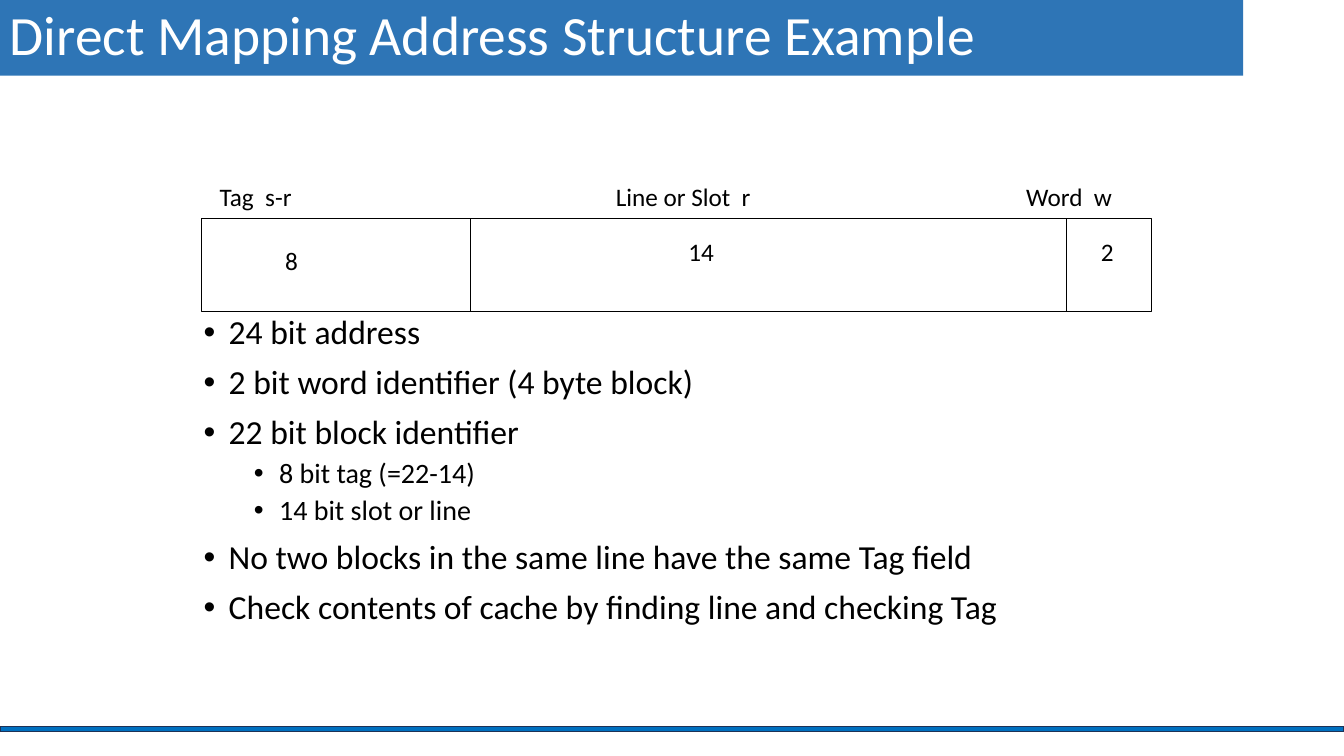
from dataclasses import dataclass

from lxml import etree
from pptx import Presentation
from pptx.dml.color import RGBColor
from pptx.enum.shapes import MSO_CONNECTOR, MSO_SHAPE
from pptx.enum.text import MSO_ANCHOR, MSO_AUTO_SIZE
from pptx.oxml.ns import qn
from pptx.util import Inches, Pt

RECT, STRAIGHT = MSO_SHAPE.RECTANGLE, MSO_CONNECTOR.STRAIGHT
MIDDLE, TOP = MSO_ANCHOR.MIDDLE, MSO_ANCHOR.TOP
GROW, FIXED = MSO_AUTO_SIZE.SHAPE_TO_FIT_TEXT, MSO_AUTO_SIZE.NONE
SLIDE_W, SLIDE_H = 13.33, 7.5


@dataclass(frozen=True)
class Theme:
    font: str = "Calibri"
    title_fill: str = "2E75B6"
    footer_fill: str = "0070C0"
    footer_line: str = "1E3256"
    ink: str = "000000"
    paper: str = "FFFFFF"
    title_size: float = 39.6
    label_size: float = 18
    hairline: float = 0.75
    # per bullet level: text size, space before, left indent
    levels: tuple = ((24, 10, 0.25), (20, 5, 0.75))


THEME = Theme()

# name, name offset, bits, bits offset (left, top), share of the address box
FIELDS = [
    ("Tag  s-r", (0.08, 0.92), "8", (0.73, 0.21, 0.33), 2.67),
    ("Line or Slot  r", (1.34, 1.56), "14", (2.06, 0.13, 0.46), 5.91),
    ("Word  w", (-0.5, 1.06), "2", (0.24, 0.13, 0.33), 0.84),
]

BULLETS = [
    (0, "24 bit address"),
    (0, "2 bit word identifier (4 byte block)"),
    (0, "22 bit block identifier"),
    (1, "8 bit tag (=22-14)"),
    (1, "14 bit slot or line"),
    (0, "No two blocks in the same line have the same Tag field"),
    (0, "Check contents of cache by finding line and checking Tag"),
]


def inches(*lengths):
    return [Inches(v) for v in lengths]


def rgb(code):
    return RGBColor.from_string(code)


def add_rect(slide, box, fill=None, line=None, width=THEME.hairline):
    sp = slide.shapes.add_shape(RECT, *inches(*box))
    sp.shadow.inherit = False
    if fill:
        sp.fill.solid()
        sp.fill.fore_color.rgb = rgb(fill)
    else:
        sp.fill.background()
    if line:
        sp.line.color.rgb = rgb(line)
        sp.line.width = Pt(width)
    else:
        sp.line.fill.background()
    return sp


def write(p, text, size, color=THEME.ink, **paragraph_format):
    for name, value in paragraph_format.items():
        setattr(p, name, value)
    r = p.add_run()
    r.text = text
    r.font.name, r.font.size = THEME.font, Pt(size)
    r.font.color.rgb = rgb(color)


def add_label(slide, box, text):
    tf = slide.shapes.add_textbox(*inches(*box)).text_frame
    tf.word_wrap, tf.auto_size = False, GROW
    write(tf.paragraphs[0], text, THEME.label_size)


def add_divider(slide, x, top, bottom):
    line = slide.shapes.add_connector(STRAIGHT, *inches(x, top, x, bottom))
    line.line.color.rgb = rgb(THEME.ink)
    line.line.width = Pt(THEME.hairline)
    etree.SubElement(line._element.spPr, qn("a:effectLst"))


def add_title(slide, box, text):
    tf = add_rect(slide, box, THEME.title_fill).text_frame
    tf.word_wrap, tf.vertical_anchor = True, MIDDLE
    p = tf.paragraphs[0]
    write(p, text, THEME.title_size, THEME.paper, line_spacing=0.9, alignment=1)


def add_address(slide, box):
    left, top, width, height = box
    add_rect(slide, box, line=THEME.ink)
    x = left
    for name, (name_dx, name_w), bits, (bits_dx, bits_dy, bits_w), share in FIELDS:
        if x > left:
            add_divider(slide, x, top, top + height)
        add_label(slide, (x + name_dx, top - 0.42, name_w, 0.4), name)
        add_label(slide, (x + bits_dx, top + bits_dy, bits_w, 0.4), bits)
        x += share


def add_bullets(slide, box):
    tf = slide.shapes.add_textbox(*inches(*box)).text_frame
    tf.word_wrap, tf.auto_size, tf.vertical_anchor = True, FIXED, TOP
    for i, (level, text) in enumerate(BULLETS):
        p = tf.add_paragraph() if i else tf.paragraphs[0]
        size, before, indent = THEME.levels[level]
        write(p, text, size, level=level, line_spacing=0.9, space_before=Pt(before))
        pPr = p._p.get_or_add_pPr()
        pPr.set("marL", str(Inches(indent)))
        pPr.set("indent", str(Inches(-0.25)))
        etree.SubElement(pPr, qn("a:buFont"), typeface="Arial")
        etree.SubElement(pPr, qn("a:buChar"), char="•")


def main():
    prs = Presentation()
    prs.slide_width, prs.slide_height = inches(SLIDE_W, SLIDE_H)
    slide = prs.slides.add_slide(prs.slide_layouts[6])

    # Footer rule and title bar
    add_rect(slide, (0, 7.21, SLIDE_W, 0.05), THEME.footer_fill, THEME.footer_line, 1)
    add_title(slide, (0, 0, SLIDE_W - 1, SLIDE_H / 10),
              "Direct Mapping Address Structure Example")

    # Address fields, then the explanation below them
    add_address(slide, (2, 2.17, 9.42, 0.92))
    add_bullets(slide, (1.92, 3.08, 9.19, 3.54))
    prs.save("out.pptx")


if __name__ == "__main__":
    main()
